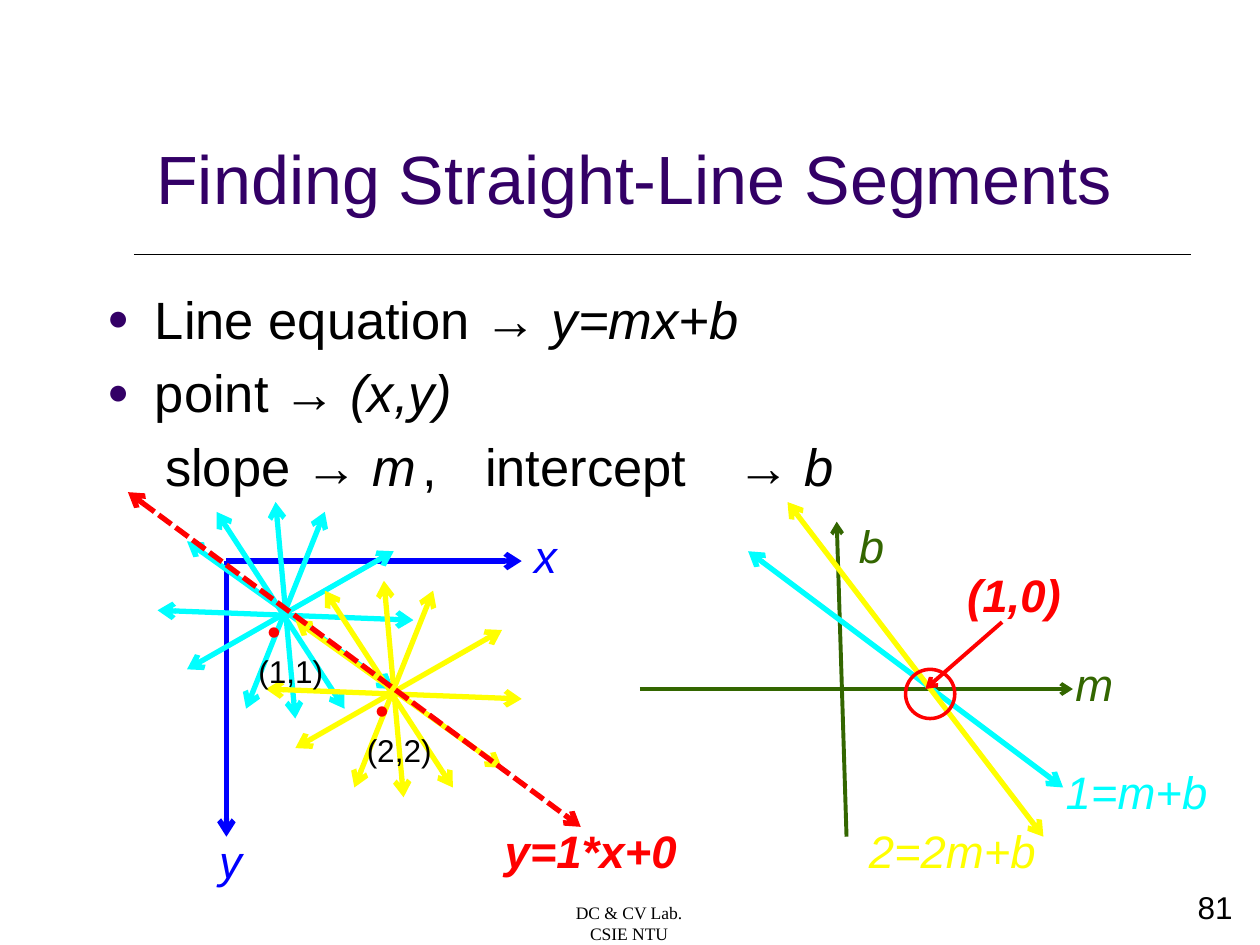
from lxml.etree import SubElement
from pptx import Presentation
from pptx.dml.color import RGBColor
from pptx.enum.dml import MSO_LINE
from pptx.enum.shapes import MSO_CONNECTOR, MSO_SHAPE
from pptx.enum.text import MSO_ANCHOR, MSO_AUTO_SIZE, PP_ALIGN
from pptx.oxml.ns import qn
from pptx.util import Inches, Pt

COLORS = {
    "black": "000000", "purple": "330066", "blue": "0000FF", "green": "336600",
    "cyan": "00FFFF", "yellow": "FFFF00", "red": "FF0000",
}
COLUMNS, ROWS = 128, 96


class SlideBuilder:
    """Draws on one slide; lengths are columns and rows of a 128 x 96 grid."""

    def __init__(self, prs, font="Arial"):
        self.font = font
        self.cell_w = prs.slide_width / COLUMNS
        self.cell_h = prs.slide_height / ROWS
        self.slide = prs.slides.add_slide(prs.slide_layouts[1])
        self.shapes = self.slide.shapes

    def box(self, col, row, cols, rows):
        return (round(col * self.cell_w), round(row * self.cell_h),
                round(cols * self.cell_w), round(rows * self.cell_h))

    def color(self, name):
        return RGBColor.from_string(COLORS[name])

    def run(self, paragraph, text, size, color="black", italic=False, bold=False, font=None):
        run = paragraph.add_run()
        run.text = text
        run.font.name = font or self.font
        run.font.size = Pt(size)
        run.font.italic = italic
        run.font.bold = bold
        run.font.color.rgb = self.color(color)

    def placeholder(self, holder, area):
        holder.left, holder.top, holder.width, holder.height = self.box(*area)
        holder.text_frame.auto_size = MSO_AUTO_SIZE.NONE
        return holder.text_frame

    def title(self, text, area):
        frame = self.placeholder(self.shapes.title, area)
        frame.vertical_anchor = MSO_ANCHOR.BOTTOM
        frame.paragraphs[0].alignment = PP_ALIGN.LEFT
        self.run(frame.paragraphs[0], text, 39, "purple")

    def body(self, items, area, size=30):
        """Each item is (bulleted, tab stops in inches, runs of (text, italic))."""
        frame = self.placeholder(self.slide.placeholders[1], area)
        for index, (bulleted, tabs, runs) in enumerate(items):
            paragraph = frame.add_paragraph() if index else frame.paragraphs[0]
            paragraph.space_before = Pt(size * 0.2)
            self.indent(paragraph, bulleted, tabs)
            for text, italic in runs:
                self.run(paragraph, text, size, italic=italic)

    def indent(self, paragraph, bulleted, tabs):
        props = paragraph._p.get_or_add_pPr()
        margin, first = (0.38, -0.38) if bulleted else (0, 0.46)
        props.set("marL", str(Inches(margin)))
        props.set("indent", str(Inches(first)))
        if bulleted:
            bullet_color = SubElement(props, qn("a:buClr"))
            SubElement(bullet_color, qn("a:srgbClr"), val=COLORS["purple"])
            SubElement(props, qn("a:buSzPct"), val="70000")
            SubElement(props, qn("a:buChar"), char="●")
        else:
            SubElement(props, qn("a:buNone"))
        if tabs:
            stops = SubElement(props, qn("a:tabLst"))
            for stop in tabs:
                SubElement(stops, qn("a:tab"), pos=str(Inches(stop)), algn="l")

    def text(self, lines, area, align=PP_ALIGN.LEFT):
        """Each line is a list of argument dicts for run()."""
        frame = self.shapes.add_textbox(*self.box(*area)).text_frame
        frame.word_wrap = True
        for index, runs in enumerate(lines):
            paragraph = frame.add_paragraph() if index else frame.paragraphs[0]
            paragraph.alignment = align
            for style in runs:
                self.run(paragraph, **style)

    def label(self, text, color, col, row, cols=10, bold=False):
        style = dict(text=text, size=26, color=color, italic=True, bold=bold)
        self.text([[style]], (col, row, cols, 7))

    def line(self, ends, color, width=3, arrows=("tailEnd",), dash=None):
        start_x, start_y, end_x, end_y = self.box(*ends)
        connector = self.shapes.add_connector(
            MSO_CONNECTOR.STRAIGHT, start_x, start_y, end_x, end_y)
        connector.line.color.rgb = self.color(color)
        connector.line.width = Pt(width)
        if dash:
            connector.line.dash_style = dash
        outline = connector.line._get_or_add_ln()
        for end in arrows:
            SubElement(outline, qn(f"a:{end}"), type="arrow")
        SubElement(connector._element.spPr, qn("a:effectLst"))

    def double_arrow(self, ends, color, dash=None):
        self.line(ends, color, arrows=("headEnd", "tailEnd"), dash=dash)

    def ring(self, area, color):
        ring = self.shapes.add_shape(MSO_SHAPE.OVAL, *self.box(*area))
        ring.shadow.inherit = False
        ring.fill.background()
        ring.line.color.rgb = self.color(color)
        ring.line.width = Pt(2)

    def pencil(self, rays, color, right=0, down=0):
        """All the lines through one point, moved right and down."""
        for x1, y1, x2, y2 in rays:
            self.double_arrow((x1 + right, y1 + down, x2 + right, y2 + down), color)

    def point(self, coordinates, col, row):
        dot = dict(text="．", size=38, color="red")
        self.text([[dot, dict(text=coordinates, size=18)]], (col, row, 15, 9.5))


def main():
    prs = Presentation()
    prs.slide_width, prs.slide_height = Inches(10), Inches(7.5)
    page = SlideBuilder(prs)

    page.line((13.6, 25.9, 121, 25.9), "black", 0.5, arrows=())
    page.title("Finding Straight-Line Segments", (14.6, 4.6, 113.4, 18.2))
    page.body([
        (True, (), [("Line equation → ", False), ("y=mx+b", True)]),
        (True, (), [("point → ", False), ("(x,y)", True)]),
        (False, (2.69, 3.14, 5.02),
         [("slope → ", False), ("m", True), ("\t,\tintercept\t→ ", False), ("b", True)]),
    ], (9.6, 28.5, 115.2, 61.7))
    page.text([[dict(text=line, size=10, font="Times New Roman")]
               for line in ("DC & CV Lab.", "CSIE NTU")],
              (43.6, 91, 40.6, 6.4), PP_ALIGN.CENTER)

    # Axes of the image space and of the parameter space
    page.line((23, 57, 53, 57), "blue")
    page.line((23, 57, 23, 85), "blue")
    page.line((65, 70, 109, 70), "green", 2.25)
    page.line((86, 85, 85, 53), "green", 2.25)
    page.double_arrow((76, 56, 108, 80), "cyan")
    page.label("x", "blue", 53, 53)
    page.label("y", "blue", 21, 84)
    page.label("b", "green", 86, 52)
    page.label("m", "green", 108, 66)
    page.label("1=m+b", "cyan", 107, 77, 21)

    rays = [(19, 55, 40, 70), (16, 62, 42, 63), (19, 68, 40, 56),
            (22, 52, 35, 72), (28, 51, 30, 73), (33, 52, 25, 72)]
    step = 11, 8
    page.pencil(rays, "cyan")
    page.pencil(rays, "yellow", *step)
    page.point("(2,2)", 25 + step[0], 57.5 + step[1])
    page.point("(1,1)", 25, 57.5)

    # Intersection in the parameter space and the line it stands for
    page.double_arrow((80, 51, 106, 85), "yellow")
    page.label("2=2m+b", "yellow", 87, 83, 21)
    page.ring((92, 68, 5, 5), "red")
    page.double_arrow((13, 50, 59, 84), "red", MSO_LINE.SQUARE_DOT)
    page.line((101.8, 63.2, 94, 70), "red", 2.25)
    page.label("(1,0)", "red", 97, 57, 22, bold=True)
    page.label("y=1*x+0", "red", 50, 83, 25, bold=True)

    page.text([[dict(text="81", size=18)]], (120.4, 89.6, 6.5, 5.1))
    prs.save("out.pptx")


if __name__ == "__main__":
    main()
